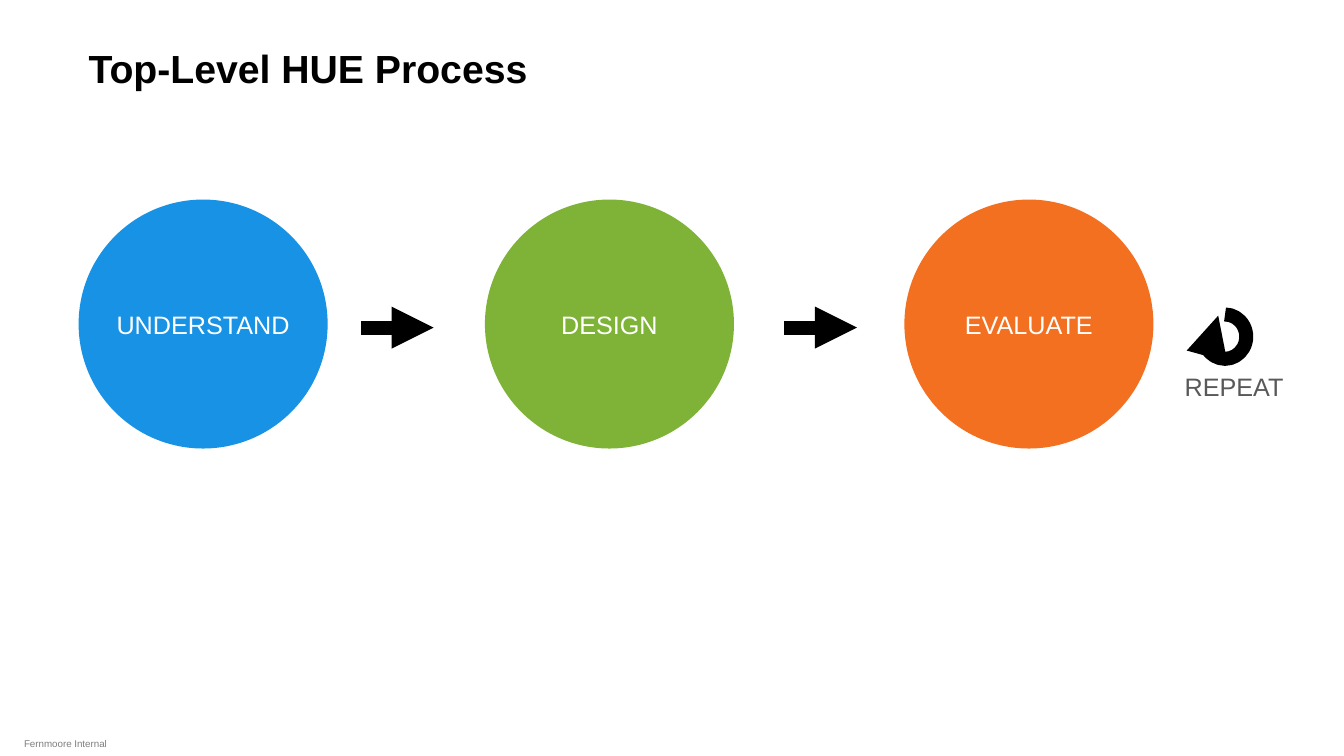
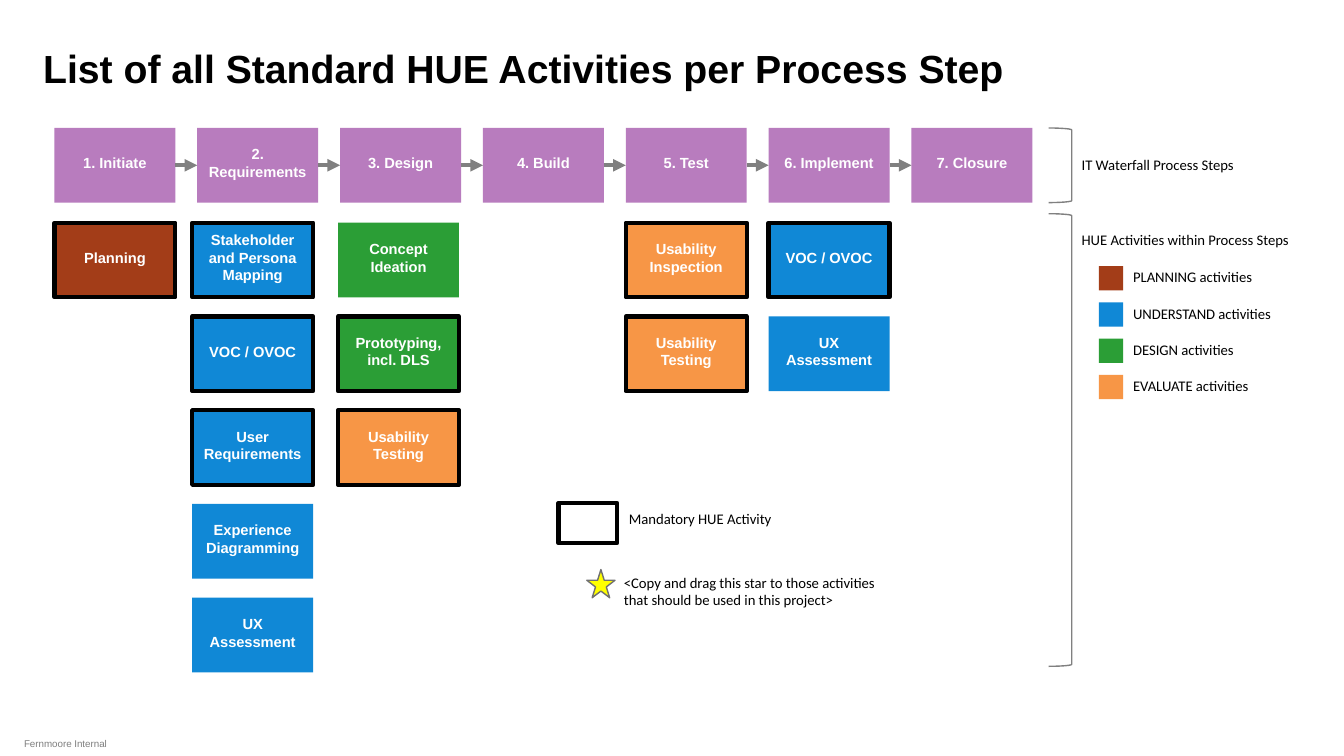
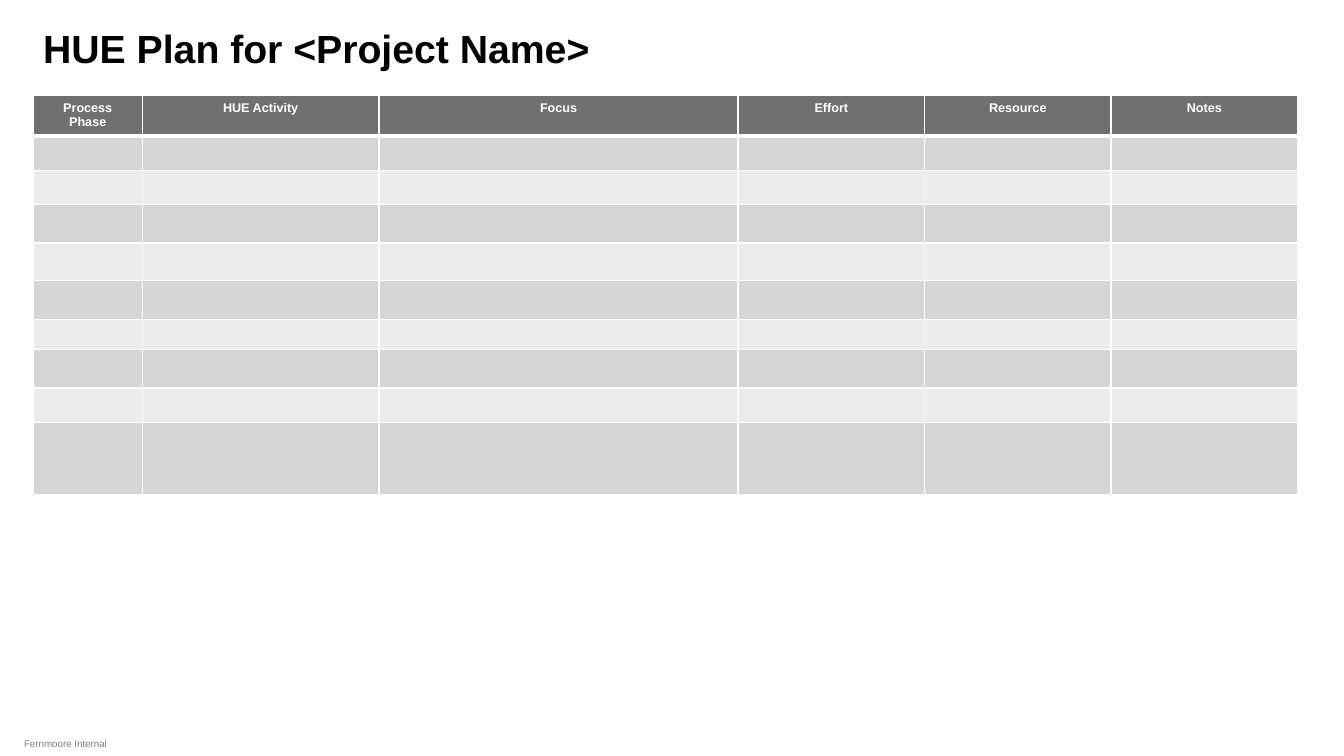
from dataclasses import dataclass
from typing import Optional

from lxml import etree
from pptx import Presentation
from pptx import util as u
from pptx.dml.color import RGBColor
from pptx.enum import shapes, text
from pptx.oxml.ns import qn

# Shared look
SLIDE_W, SLIDE_H = 13.33, 7.5
BLACK = RGBColor(0x00, 0x00, 0x00)
WHITE = RGBColor(0xFF, 0xFF, 0xFF)
FOOTER_GREY = RGBColor(0x7F, 0x7F, 0x7F)
CAPTION_GREY = RGBColor(0x59, 0x59, 0x59)
LINE_GREY = RGBColor(0x80, 0x80, 0x80)
DARK_GREY = RGBColor(0x70, 0x70, 0x70)
BAND_DARK = RGBColor(0xD5, 0xD5, 0xD5)
BAND_LIGHT = RGBColor(0xEB, 0xEB, 0xEB)
PHASE_BLUE = RGBColor(0x17, 0x92, 0xE5)
PHASE_GREEN = RGBColor(0x7E, 0xB3, 0x38)
PHASE_ORANGE = RGBColor(0xF3, 0x70, 0x21)
STEP_PURPLE = RGBColor(0xB8, 0x7C, 0xBE)
PLANNING = RGBColor(0xA3, 0x3D, 0x18)
UNDERSTAND = RGBColor(0x10, 0x88, 0xD6)
DESIGN = RGBColor(0x2B, 0x9E, 0x36)
EVALUATE = RGBColor(0xF7, 0x96, 0x46)
YELLOW = RGBColor(0xFF, 0xFF, 0x00)
SHAPE = shapes.MSO_SHAPE
CENTER, LEFT = text.PP_ALIGN.CENTER, text.PP_ALIGN.LEFT

# Grid of the activity map
GRID_LEFT, STEP_TOP, ACTIVITY_TOP = 0.54, 1.27, 2.21
BOX_W, BOX_H = 1.2, 0.74
COLUMN_PITCH, ROW_PITCH = 8.5 / 6, 0.93
COLUMN_SHIFT = {1: -0.05, 2: -0.02}


@dataclass(frozen=True)
class Phase:
    label: str
    left: float
    color: RGBColor


@dataclass(frozen=True)
class Activity:
    label: str
    column: int
    row: int
    color: RGBColor
    mandatory: bool = True


PHASES = [
    Phase("UNDERSTAND", 0.78, PHASE_BLUE),
    Phase("DESIGN", 4.81, PHASE_GREEN),
    Phase("EVALUATE", 8.97, PHASE_ORANGE),
]
STEPS = ["Initiate", "Requirements", "Design", "Build", "Test", "Implement", "Closure"]
ACTIVITIES = [
    Activity("Planning", 0, 0, PLANNING),
    Activity("Stakeholder and Persona Mapping", 1, 0, UNDERSTAND),
    Activity("VOC / OVOC", 1, 1, UNDERSTAND),
    Activity("User Requirements", 1, 2, UNDERSTAND),
    Activity("Experience Diagramming", 1, 3, UNDERSTAND, False),
    Activity("UX Assessment", 1, 4, UNDERSTAND, False),
    Activity("Concept Ideation", 2, 0, DESIGN, False),
    Activity("Prototyping, incl. DLS", 2, 1, DESIGN),
    Activity("Usability Testing", 2, 2, EVALUATE),
    Activity("Usability Inspection", 4, 0, EVALUATE),
    Activity("Usability Testing", 4, 1, EVALUATE),
    Activity("VOC / OVOC", 5, 0, UNDERSTAND),
    Activity("UX Assessment", 5, 1, UNDERSTAND, False),
]
LEGEND = [("PLANNING", PLANNING), ("UNDERSTAND", UNDERSTAND),
          ("DESIGN", DESIGN), ("EVALUATE", EVALUATE)]
PLAN_COLUMNS = [("Process Phase", 1.08), ("HUE Activity", 2.35), ("Focus", 3.56),
                ("Effort", 1.85), ("Resource", 1.85), ("Notes", 1.85)]
PLAN_ROWS = [0.38, 0.34, 0.34, 0.38, 0.37, 0.39, 0.3, 0.38, 0.34, 0.72]


# Drawing helpers
def write(frame, words: str, *, size: float, color: RGBColor = BLACK, font: str = "Arial",
          bold: bool = False, align=LEFT) -> None:
    paragraph = frame.paragraphs[0]
    paragraph.alignment = align
    run = paragraph.add_run()
    run.text = words
    run.font.size, run.font.name, run.font.bold = u.Pt(size), font, bold
    run.font.color.rgb = color


def add_label(slide, words: str, left: float, top: float, width: float, height: float,
              **style) -> None:
    box = slide.shapes.add_textbox(*map(u.Inches, (left, top, width, height)))
    box.text_frame.word_wrap = True
    write(box.text_frame, words, **style)


def add_note(slide, words: str, left: float, top: float, width: float,
             height: float = 0.28) -> None:
    add_label(slide, words, left, top, width, height, size=10.5, font="Calibri")


def draw(slide, kind, left: float, top: float, width: float, height: float, *,
         fill: Optional[RGBColor] = None, line: Optional[RGBColor] = None,
         weight: float = 1):
    shape = slide.shapes.add_shape(kind, *map(u.Inches, (left, top, width, height)))
    shape.shadow.inherit = False
    if fill is None:
        shape.fill.background()
    else:
        shape.fill.solid()
        shape.fill.fore_color.rgb = fill
    if line is None:
        shape.line.fill.background()
    else:
        shape.line.color.rgb = line
        shape.line.width = u.Pt(weight)
    return shape


def fill_text(shape, words: str, insets: tuple[float, float, float, float], **style) -> None:
    frame = shape.text_frame
    frame.word_wrap = True
    frame.vertical_anchor = text.MSO_ANCHOR.MIDDLE
    (frame.margin_left, frame.margin_top,
     frame.margin_right, frame.margin_bottom) = map(u.Inches, insets)
    write(frame, words, color=WHITE, align=CENTER, **style)


def add_arrowhead(shape) -> None:
    etree.SubElement(shape.line._get_or_add_ln(), qn("a:tailEnd"), type="triangle")


def add_arrow(slide, start: float, end: float, y: float, color: RGBColor, weight: float):
    arrow = slide.shapes.add_connector(
        shapes.MSO_CONNECTOR.STRAIGHT, *map(u.Inches, (start, y, end, y)))
    arrow.line.color.rgb = color
    arrow.line.width = u.Pt(weight)
    add_arrowhead(arrow)
    etree.SubElement(arrow._element.spPr, qn("a:effectLst"))
    return arrow


def add_process_box(slide, words: str, left: float, top: float, color: RGBColor,
                    mandatory: bool = False):
    box = draw(slide, SHAPE.RECTANGLE, left, top, BOX_W, BOX_H, fill=color,
               line=BLACK if mandatory else None, weight=3)
    fill_text(box, words, (0.1, 0.05, 0.1, 0.1), size=10.5, bold=True)
    return box


def set_cell_border(cell, side: str, weight: float) -> None:
    border = etree.SubElement(cell._tc.get_or_add_tcPr(), qn(f"a:ln{side}"),
                              w=str(u.Pt(weight)))
    solid = etree.SubElement(border, qn("a:solidFill"))
    etree.SubElement(solid, qn("a:srgbClr"), val=str(WHITE))


def new_slide(prs, title: str, left: float = 0.33, top: float = 0.39, width: float = 12):
    slide = prs.slides.add_slide(prs.slide_layouts[6])
    add_label(slide, title, left, top, width, 0.55, size=28, bold=True)
    add_label(slide, "Fernmoore Internal", 0.14, 7.27, 13.06, 0.22, size=7, color=FOOTER_GREY)
    return slide


# Slides
def build_process(prs) -> None:
    slide = new_slide(prs, "Top-Level HUE Process", left=0.78, width=11.51)
    for phase in PHASES:
        circle = draw(slide, SHAPE.OVAL, phase.left, 1.98, 2.47, 2.47, fill=phase.color)
        fill_text(circle, phase.label, (0, 0.05, 0, 0.05), size=18)
    for start in (3.58, 7.78):
        add_arrow(slide, start, start + 0.72, 3.25, BLACK, 10)
    # Loop back to the first phase
    loop = draw(slide, SHAPE.ARC, 11.94, 3.12, 0.42, 0.44, line=BLACK, weight=10)
    loop.adjustments[0], loop.adjustments[1] = 162, 151.19
    add_arrowhead(loop)
    add_label(slide, "REPEAT", 11.64, 3.63, 1.2, 0.4, size=18, color=CAPTION_GREY, align=CENTER)


def build_activities(prs) -> None:
    slide = new_slide(prs, "List of all Standard HUE Activities per Process Step")
    # Process steps, joined by arrows
    steps = [add_process_box(slide, f"{i + 1}. {name}", GRID_LEFT + i * COLUMN_PITCH,
                             STEP_TOP, STEP_PURPLE)
             for i, name in enumerate(STEPS)]
    for before, after in zip(steps, steps[1:]):
        arrow = add_arrow(slide, 0, 1, STEP_TOP, LINE_GREY, 3)
        arrow.begin_connect(before, 3)
        arrow.end_connect(after, 1)
    # Activities under each step
    for activity in ACTIVITIES:
        left = GRID_LEFT + activity.column * COLUMN_PITCH + COLUMN_SHIFT.get(activity.column, 0)
        add_process_box(slide, activity.label, left, ACTIVITY_TOP + activity.row * ROW_PITCH,
                        activity.color, activity.mandatory)
    # Brackets and colour legend
    for top, height in ((STEP_TOP, BOX_H), (2.12, 4.49)):
        draw(slide, SHAPE.RIGHT_BRACKET, 10.4, top, 0.23, height, line=LINE_GREY)
    add_note(slide, "IT Waterfall Process Steps", 10.63, 1.5, 2.7)
    add_note(slide, "HUE Activities within Process Steps", 10.63, 2.24, 2.7)
    for i, (name, color) in enumerate(LEGEND):
        top = 2.64 + i * 0.36
        draw(slide, SHAPE.RECTANGLE, 10.9, top, 0.24, 0.24, fill=color)
        add_note(slide, f"{name} activities", 11.14, top - 0.03, 2.06)
    # Marker legend
    draw(slide, SHAPE.RECTANGLE, 5.54, 4.99, 0.58, 0.4, line=BLACK, weight=3)
    add_note(slide, "Mandatory HUE Activity", 6.14, 5.01, 2.73)
    draw(slide, SHAPE.STAR_5_POINT, 5.82, 5.65, 0.28, 0.28, fill=YELLOW, line=DARK_GREY)
    add_note(slide, "<Copy and drag this star to those activities that should be used "
                    "in this project>", 6.09, 5.64, 2.73, 0.45)


def build_plan(prs) -> None:
    slide = new_slide(prs, "HUE Plan for <Project Name>", top=0.19, width=11.51)
    plan = slide.shapes.add_table(
        len(PLAN_ROWS), len(PLAN_COLUMNS),
        *map(u.Inches, (0.33, 0.95, 12.54, sum(PLAN_ROWS)))).table
    plan.first_row = plan.horz_banding = False
    for column, (_, width) in zip(plan.columns, PLAN_COLUMNS):
        column.width = u.Inches(width)
    for r, height in enumerate(PLAN_ROWS):
        plan.rows[r].height = u.Inches(height)
        for c, (heading, _) in enumerate(PLAN_COLUMNS):
            cell = plan.cell(r, c)
            for side in "LRTB":
                under_header = (r, side) in ((0, "B"), (1, "T"))
                set_cell_border(cell, side, 3 if under_header else 1)
            cell.fill.solid()
            if r == 0:
                cell.fill.fore_color.rgb = DARK_GREY
                write(cell.text_frame, heading, size=9, color=WHITE, bold=True, align=CENTER)
            else:
                cell.fill.fore_color.rgb = BAND_DARK if r % 2 else BAND_LIGHT
                # Small type keeps the empty rows at their set height
                etree.SubElement(cell.text_frame.paragraphs[0]._p, qn("a:endParaRPr"), sz="900")


def main() -> None:
    prs = Presentation()
    prs.slide_width, prs.slide_height = u.Inches(SLIDE_W), u.Inches(SLIDE_H)
    build_process(prs)
    build_activities(prs)
    build_plan(prs)
    prs.save("out.pptx")


if __name__ == "__main__":
    main()
